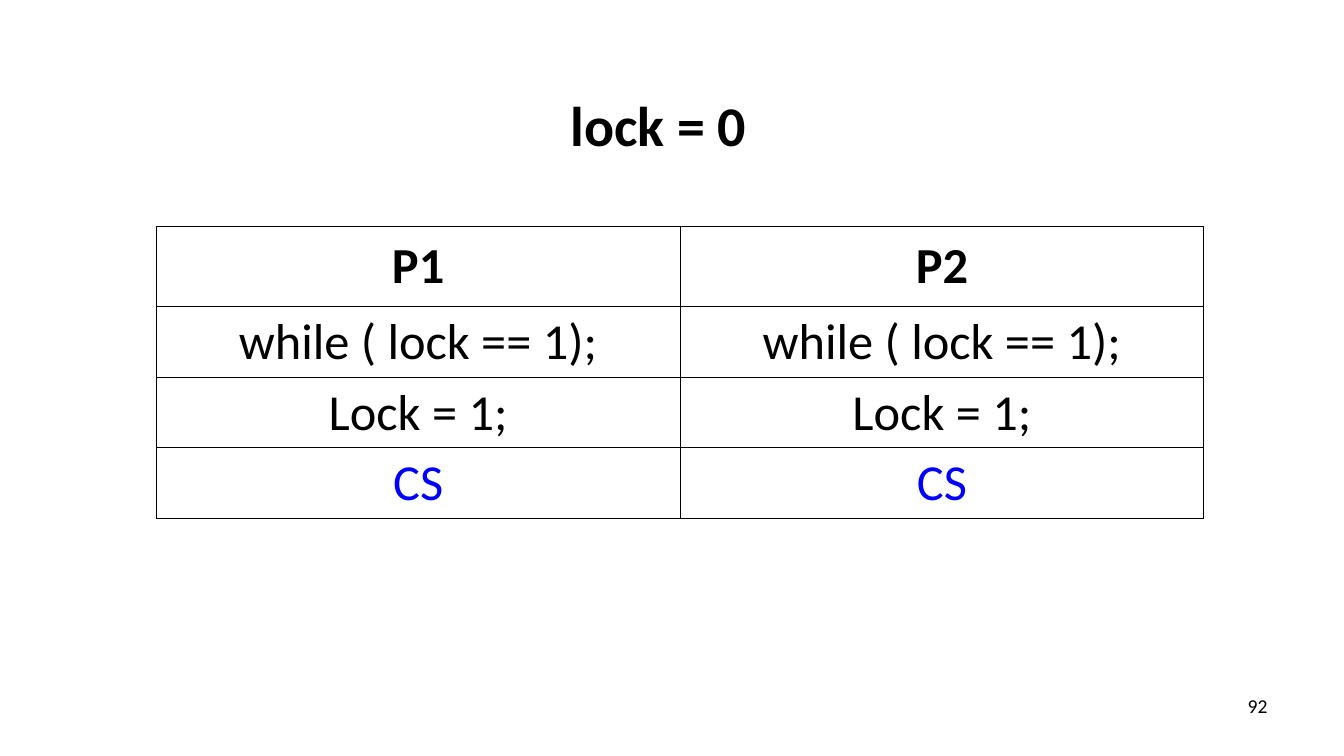
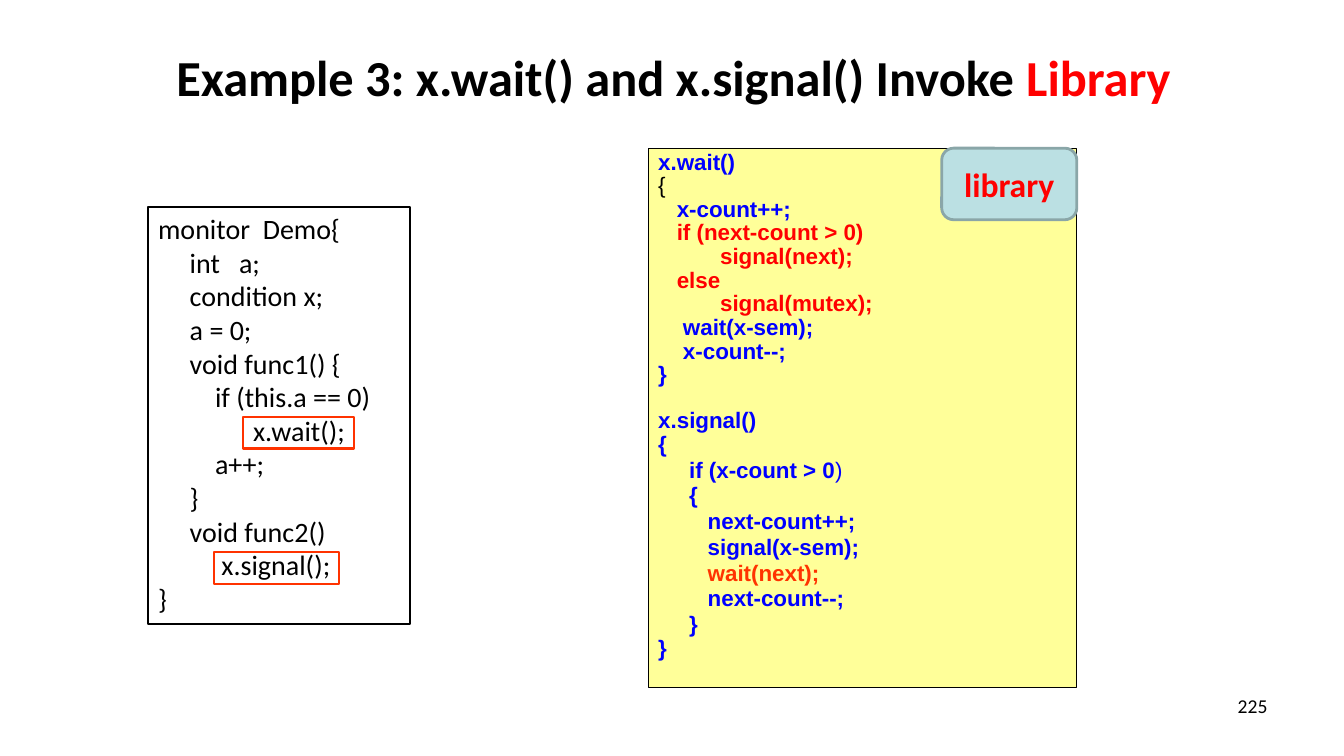
from lxml import etree
from pptx import Presentation
from pptx.dml.color import RGBColor
from pptx.enum.shapes import MSO_SHAPE as SHAPE
from pptx.enum.text import MSO_ANCHOR as ANCHOR, MSO_AUTO_SIZE as AUTO, PP_ALIGN as ALIGN
from pptx.oxml.ns import qn
from pptx.util import Inches, Pt

BLACK = RGBColor(0x00, 0x00, 0x00)
BLUE = RGBColor(0x00, 0x00, 0xFF)
RED = RGBColor(0xFF, 0x00, 0x00)
ORANGE = RGBColor(0xFF, 0x33, 0x00)
YELLOW = RGBColor(0xFF, 0xFF, 0x99)
TEAL = RGBColor(0xBB, 0xE0, 0xE3)
TEAL_EDGE = RGBColor(0x8A, 0xA6, 0xA8)


class Deck:
    """Holds the shared style and the current slide."""

    font = "Calibri"
    code_font = "Arial"
    title_only = 5

    def __init__(self):
        self.prs = Presentation()
        self.prs.slide_width = Inches(13.33)
        self.prs.slide_height = Inches(7.5)
        self.slide = None

    def box(self, *lengths):
        return [Inches(v) for v in lengths]

    def style(self, p, size, color=BLACK, bold=False, align=ALIGN.LEFT, font=None):
        p.alignment = align
        p.font.name = font or self.font
        p.font.size = Pt(size)
        p.font.bold = bold
        p.font.color.rgb = color

    def add_slide(self, number):
        self.slide = self.prs.slides.add_slide(self.prs.slide_layouts[self.title_only])
        tb = self.slide.shapes.add_textbox(*self.box(9.56, 6.83, 3.11, 0.52))
        tb.text_frame.word_wrap = True
        p = tb.text_frame.paragraphs[0]
        p.text = str(number)
        self.style(p, 14, align=ALIGN.RIGHT)

    def title(self, text, at, size, align=ALIGN.CENTER, accent=None):
        sp = self.slide.shapes.title
        sp.left, sp.top, sp.width, sp.height = self.box(*at)
        tf = sp.text_frame
        tf.word_wrap, tf.auto_size = True, AUTO.NONE
        tf.vertical_anchor = ANCHOR.MIDDLE
        p = tf.paragraphs[0]
        p.text = text
        self.style(p, size, bold=True, align=align)
        if accent:
            r = p.add_run()
            r.text = accent
            r.font.color.rgb = RED

    def shape(self, at, line, width, fill=None, kind=SHAPE.RECTANGLE, anchor=ANCHOR.MIDDLE):
        sp = self.slide.shapes.add_shape(kind, *self.box(*at))
        sp.shadow.inherit = False
        if fill is None:
            sp.fill.background()
        else:
            sp.fill.solid()
            sp.fill.fore_color.rgb = fill
        sp.line.color.rgb = line
        sp.line.width = Pt(width)
        sp.text_frame.word_wrap = True
        sp.text_frame.vertical_anchor = anchor
        return sp

    def lines(self, tf, rows, size, bold=False, font=None):
        """Write one paragraph per row of (text, color, space before)."""
        for i, (text, color, space) in enumerate(rows):
            p = tf.add_paragraph() if i else tf.paragraphs[0]
            p.text = text
            if i and space:
                p.space_before = Pt(space)
            self.style(p, size, color, bold, font=font)

    def border(self, cell):
        tc_pr = cell._tc.get_or_add_tcPr()
        for i, side in enumerate(("a:lnL", "a:lnR", "a:lnT", "a:lnB")):
            ln = etree.Element(qn(side), w=str(Pt(0.75)))
            fill = etree.SubElement(ln, qn("a:solidFill"))
            etree.SubElement(fill, qn("a:srgbClr"), val=str(BLACK))
            tc_pr.insert(i, ln)

    def table(self, at, heights, rows):
        """Fill a table with equal columns; each row is (texts, color, bold)."""
        columns = len(rows[0][0])
        table = self.slide.shapes.add_table(len(rows), columns, *self.box(*at)).table
        table.first_row = table.horz_banding = False
        for i, (texts, color, bold) in enumerate(rows):
            table.rows[i].height = Inches(heights[i])
            for j, text in enumerate(texts):
                cell = table.cell(i, j)
                cell.fill.background()
                self.border(cell)
                cell.vertical_anchor = ANCHOR.MIDDLE
                cell.margin_left = cell.margin_right = Inches(0.13)
                p = cell.text_frame.paragraphs[0]
                p.text = text
                self.style(p, 36, color, bold, ALIGN.CENTER)


def lock_slide(deck):
    deck.add_slide(92)
    deck.title("lock = 0", (5.56, 0.85, 2.35, 0.77), 40, ALIGN.LEFT)

    # Both processes run the same steps
    steps = [("while ( lock == 1);", BLACK), ("Lock = 1;", BLACK), ("CS", BLUE)]
    rows = [(("P1", "P2"), BLACK, True)]
    rows += [((text, text), color, False) for text, color in steps]
    deck.table((1.55, 2.25, 10.39, 2.89), (0.79, 0.7, 0.7, 0.7), rows)


def monitor_slide(deck):
    deck.add_slide(225)
    deck.title("Example 3: x.wait() and x.signal() Invoke ", (0.68, 0.13, 12, 1.25), 36,
               accent="Library")

    # Monitor code, with its two library calls framed
    monitor = [
        "monitor  Demo{",
        "     int   a;",
        "     condition x;",
        "     a = 0;",
        "     void func1() {",
        "         if (this.a == 0)",
        "               x.wait();",
        "         a++;",
        "     }",
        "     void func2()",
        "          x.signal();",
        "}",
    ]
    sp = deck.shape((1.47, 2.05, 2.6, 4.14), BLACK, 1.5, anchor=ANCHOR.TOP)
    deck.lines(sp.text_frame, [(text, BLACK, 0) for text in monitor], 20)
    for at in ((2.12, 5.48, 1.24, 0.31), (2.41, 4.14, 1.1, 0.31)):
        deck.shape(at, ORANGE, 1.5)

    # Library code
    tight, loose, gap = 1.5, 3, 17.7
    library = [
        ("x.wait()", BLUE, tight),
        ("{", BLACK, tight),
        ("   x-count++;", BLUE, tight),
        ("   if (next-count > 0)", RED, tight),
        ("          signal(next);", RED, tight),
        ("   else", RED, tight),
        ("          signal(mutex);", RED, tight),
        ("    wait(x-sem);", BLUE, tight),
        ("    x-count--;", BLUE, tight),
        ("}", BLUE, tight),
        ("x.signal()", BLUE, gap),
        ("{", BLUE, tight),
        ("     if (x-count > 0", BLUE, loose),
        ("     {", BLUE, loose),
        ("        next-count++;", BLUE, loose),
        ("        signal(x-sem);", BLUE, loose),
        ("        wait(next);", ORANGE, loose),
        ("        next-count--;", BLUE, loose),
        ("     }", BLUE, loose),
        ("}", BLUE, tight),
    ]
    sp = deck.shape((6.43, 1.47, 4.25, 5.35), BLACK, 0.75, YELLOW)
    tf = sp.text_frame
    tf.margin_bottom = Inches(0.27)
    deck.lines(tf, library, 16, True, deck.code_font)
    for p in tf.paragraphs:
        p.line_spacing = 0.8

    # Two brackets are set in regular weight
    tf.paragraphs[1].font.bold = False
    r = tf.paragraphs[12].add_run()
    r.text = ")"
    r.font.bold = False

    # Library tag
    sp = deck.shape((9.34, 1.47, 1.34, 0.71), TEAL_EDGE, 2, TEAL, SHAPE.ROUNDED_RECTANGLE)
    p = sp.text_frame.paragraphs[0]
    p.text = "library"
    deck.style(p, 24, RED, True, ALIGN.CENTER)


def main():
    deck = Deck()
    lock_slide(deck)
    monitor_slide(deck)
    deck.prs.save("out.pptx")


if __name__ == "__main__":
    main()
